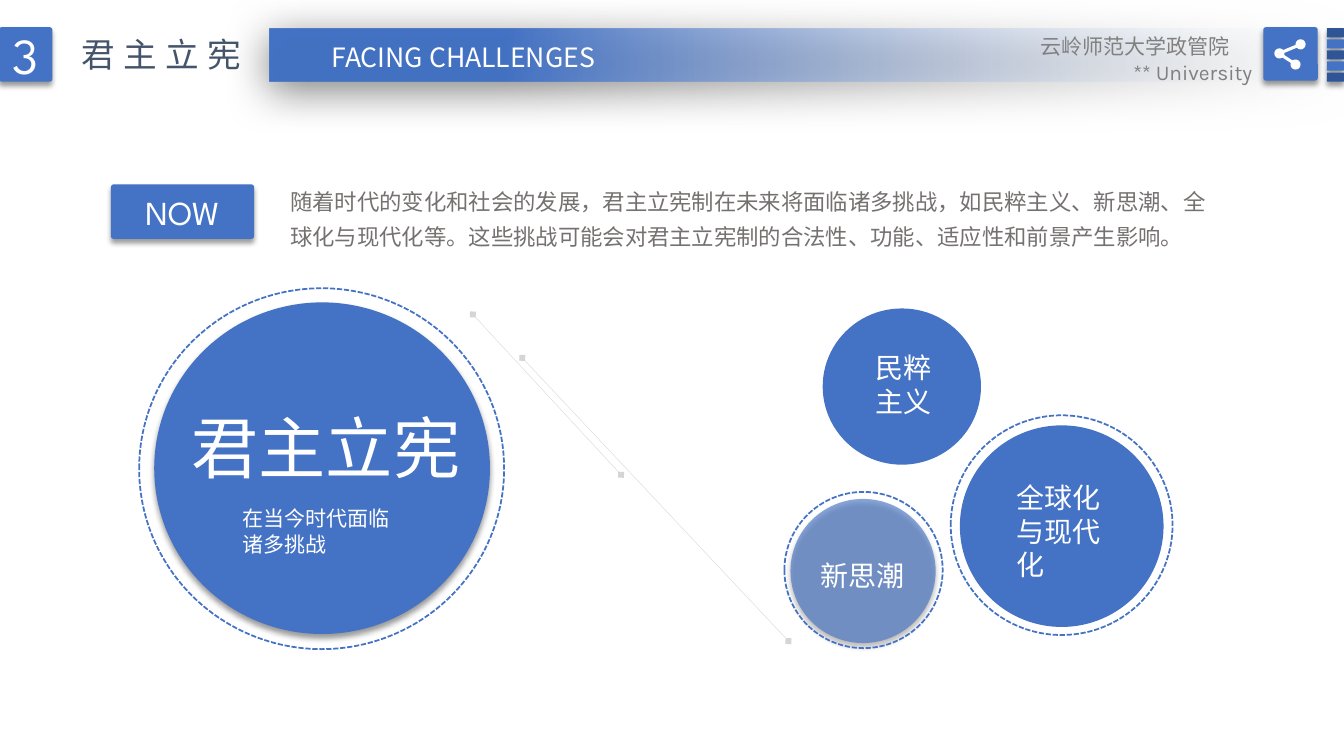
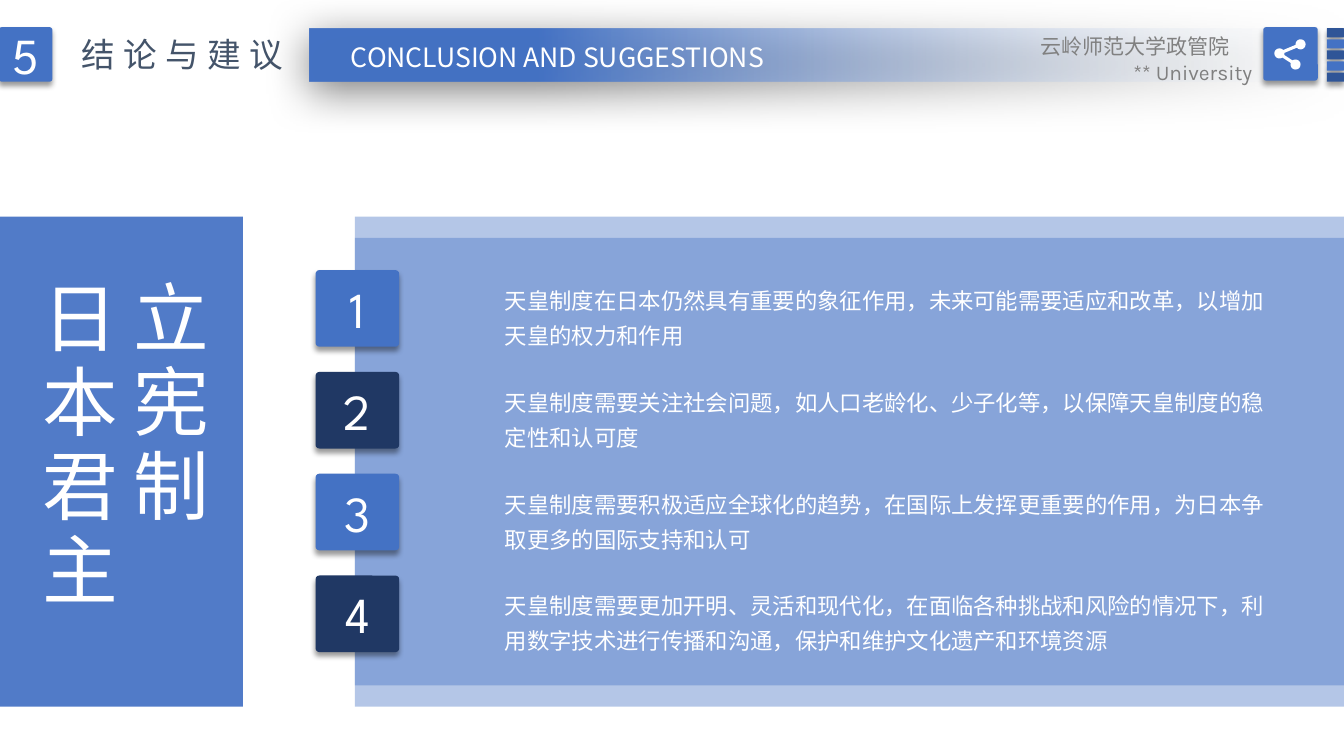
from dataclasses import dataclass
from math import cos, radians, sin

from lxml import etree
from pptx import Presentation
from pptx import util as u
from pptx.dml import color as dml
from pptx.enum import dml as line_kind, shapes, text
from pptx.oxml import ns

BLUE, DEEP, NAVY = "4472C4", "2F5597", "203864"
WHITE, GRAY, SLATE, TAUPE = "FFFFFF", "808080", "44546A", "767171"
CJK, HEAD = "Noto Sans CJK SC", "League Spartan"
LEFT, MID, RIGHT = text.PP_ALIGN.LEFT, text.PP_ALIGN.CENTER, text.PP_ALIGN.RIGHT
RECT, ROUND, OVAL = (shapes.MSO_SHAPE.RECTANGLE, shapes.MSO_SHAPE.ROUNDED_RECTANGLE,
                     shapes.MSO_SHAPE.OVAL)


@dataclass(frozen=True)
class Box:
    left: float
    top: float
    width: float
    height: float

    def emu(self) -> list:
        return [u.Inches(v) for v in (self.left, self.top, self.width, self.height)]


@dataclass(frozen=True)
class Style:
    size: float
    color: str = WHITE
    font: str = CJK
    align: object = LEFT
    space: float = 0
    lead: float = 0


@dataclass(frozen=True)
class Shade:
    alpha: int = 40
    blur: int = 4
    dist: int = 3
    angle: int = 90


@dataclass(frozen=True)
class Header:
    number: str
    title: str
    wide: float
    band: float
    label: str
    place: Box


@dataclass(frozen=True)
class Disc:
    box: Box
    alpha: int = 100
    shade: object = None


@dataclass(frozen=True)
class Label:
    words: str
    box: Box
    style: Style


SOFT = Shade()
DIGIT = Style(36, font=HEAD, align=MID)
BODY = Style(16, lead=1.3)


def rgb(code: str) -> dml.RGBColor:
    return dml.RGBColor.from_string(code)


def add(parent, tag: str, **attrs):
    node = etree.SubElement(parent, ns.qn(tag))
    for key, value in attrs.items():
        node.set(key, str(value))
    return node


def fade(node, alpha: int) -> None:
    add(node.xpath(".//a:srgbClr")[0], "a:alpha", val=alpha * 1000)


def cast(shape, shade: Shade) -> None:
    effect = shape._element.spPr.find(ns.qn("a:effectLst"))
    drop = add(effect, "a:outerShdw", blurRad=shade.blur * 12700,
               dist=shade.dist * 12700, dir=shade.angle * 60000,
               algn="ctr", rotWithShape=0)
    add(add(drop, "a:srgbClr", val="000000"), "a:alpha", val=shade.alpha * 1000)


def write(shape, words: str, style: Style, wrap: bool = True,
          anchor=text.MSO_ANCHOR.TOP) -> None:
    frame = shape.text_frame
    frame.text = words
    frame.word_wrap = wrap
    frame.auto_size = text.MSO_AUTO_SIZE.NONE
    frame.vertical_anchor = anchor
    frame.margin_left = frame.margin_right = u.Inches(0.1)
    frame.margin_top = frame.margin_bottom = u.Inches(0.05)
    for para in frame.paragraphs:
        para.alignment = style.align
        if style.lead:
            para.line_spacing = style.lead
        font = para.font
        font.size = u.Pt(style.size)
        font.color.rgb = rgb(style.color)
        font.name = style.font
        add(font._element, "a:ea", typeface=style.font)
        if style.space:
            font._element.set("spc", str(int(style.space * 100)))


def note(slide, words: str, box: Box, style: Style, wrap: bool = True):
    shape = slide.shapes.add_textbox(*box.emu())
    write(shape, words, style, wrap)
    return shape


def form(slide, kind, box: Box, fill: str = BLUE, alpha: int = 100, shade=None):
    shape = slide.shapes.add_shape(kind, *box.emu())
    shape.shadow.inherit = False
    shape.line.fill.background()
    shape.fill.solid()
    shape.fill.fore_color.rgb = rgb(fill)
    if alpha < 100:
        fade(shape._element.spPr, alpha)
    if shade:
        cast(shape, shade)
    return shape


def tile(slide, box: Box, fill: str = BLUE, words: str = "", style: Style = DIGIT) -> None:
    shape = form(slide, ROUND, box, fill, shade=SOFT)
    shape.adjustments[0] = 0.05
    if words:
        write(shape, words, style, anchor=text.MSO_ANCHOR.MIDDLE)


def ring(slide, box: Box) -> None:
    shape = form(slide, OVAL, box)
    shape.fill.background()
    shape.line.color.rgb = rgb(BLUE)
    shape.line.width = u.Pt(1.25)
    shape.line.dash_style = line_kind.MSO_LINE.SQUARE_DOT


def link(slide, x1: float, y1: float, x2: float, y2: float) -> None:
    line = slide.shapes.add_connector(shapes.MSO_CONNECTOR.STRAIGHT,
                                      *[u.Inches(v) for v in (x1, y1, x2, y2)])
    line.line.width = u.Pt(0.25)
    line.line.color.rgb = rgb(GRAY)
    props = line._element.spPr
    fade(props, 33)
    stroke = props.find(ns.qn("a:ln"))
    add(stroke, "a:headEnd", type="diamond")
    add(stroke, "a:tailEnd", type="diamond")
    add(props, "a:effectLst")


def share(slide) -> None:
    high, west, low = (12.9, 0.44), (12.69, 0.53), (12.85, 0.64)
    gap, size, steps = 18, 0.05, 16
    arcs = [(high, 156 + gap, 516 - gap), (west, gap - 24, 36 - gap),
            (low, 216 + gap, 576 - gap), (west, 36 + gap, 336 - gap)]
    dots = []
    for (x, y), start, end in arcs:
        for step in range(steps + 1):
            turn = radians(start + (end - start) * step / steps)
            dots.append((u.Inches(x + size * cos(turn)), u.Inches(y + size * sin(turn))))
    path = slide.shapes.build_freeform(*dots[0], scale=1.0)
    path.add_line_segments(dots[1:], close=True)
    icon = path.convert_to_shape()
    icon.shadow.inherit = False
    icon.fill.solid()
    icon.fill.fore_color.rgb = rgb(WHITE)
    icon.line.fill.background()


def start(deck, head: Header):
    slide = deck.slides.add_slide(deck.slide_layouts[5])
    title = slide.shapes.title
    title.left, title.top, title.width, title.height = Box(0.71, 0.29, head.wide, 0.5).emu()
    write(title, head.title, Style(24, SLATE, space=6), wrap=False)

    band = form(slide, RECT, Box(head.band, 0.28, 13.33 - head.band, 0.53),
                shade=Shade(50, 31, 6, 97))
    band.fill.gradient()
    band.fill.gradient_angle = 180
    for stop, (spot, tone) in zip(band.fill.gradient_stops, [(0, "F7FAFD"), (0.78, BLUE)]):
        stop.position = spot
        stop.color.rgb = rgb(tone)
    fade(band._element.spPr, 0)

    tile(slide, Box(-0.01, 0.27, 0.53, 0.54), words=head.number)
    note(slide, head.label, head.place, Style(19, align=MID), wrap=False)
    for row in range(5):
        tile(slide, Box(13.16, 0.28 + 0.11 * row, 0.17, 0.09), (DEEP, BLUE)[row % 2])
    tile(slide, Box(12.53, 0.27, 0.54, 0.53))
    share(slide)
    note(slide, "云岭师范大学政管院", Box(10.15, 0.28, 2.14, 0.35), Style(15, GRAY, align=RIGHT))
    note(slide, "** University", Box(10.15, 0.54, 2.37, 0.34),
         Style(15, GRAY, "Karla", RIGHT))
    return slide


def facing(deck) -> None:
    slide = start(deck, Header("3", "君主立宪", 1.87, 2.67, "FACING CHALLENGES",
                               Box(3.13, 0.36, 2.93, 0.42)))
    discs = [Disc(Box(1.53, 3, 3.33, 3.29), shade=SOFT), Disc(Box(8.24, 3.13, 1.44, 1.43)),
             Disc(Box(8.16, 3.06, 1.57, 1.55)), Disc(Box(7.84, 4.95, 1.44, 1.43), 63, SOFT),
             Disc(Box(9.52, 4.22, 2.02, 2))]
    for disc in discs:
        form(slide, OVAL, disc.box, alpha=disc.alpha, shade=disc.shade)
    for box in (Box(1.38, 2.86, 3.62, 3.58), Box(7.78, 4.88, 1.57, 1.55),
                Box(9.43, 4.12, 2.2, 2.18)):
        ring(slide, box)
    tile(slide, Box(1.1, 1.83, 1.42, 0.54), words="NOW", style=Style(24, font=HEAD, align=MID))
    link(slide, 5.18, 3.55, 7.82, 6.36)
    link(slide, 4.69, 3.12, 6.16, 4.71)
    topic = Style(20)
    labels = [
        Label("随着时代的变化和社会的发展，君主立宪制在未来将面临诸多挑战，如民粹主义、新思潮、"
              "全球化与现代化等。这些挑战可能会对君主立宪制的合法性、功能、适应性和前景产生影响。",
              Box(2.78, 1.74, 9.49, 0.8), Style(16, TAUPE, lead=1.3)),
        Label("君主立宪", Box(1.8, 3.98, 2.89, 0.91), Style(48, font="Calibri")),
        Label("在当今时代面临诸多挑战", Box(2.31, 4.97, 1.77, 0.6), Style(15)),
        Label("民粹\n主义", Box(8.58, 3.43, 1.11, 0.77), topic),
        Label("新思潮", Box(8.04, 5.49, 1.11, 0.43), topic),
        Label("全球化与现代化", Box(9.98, 4.72, 1.11, 1.11), topic)]
    for label in labels:
        note(slide, label.words, label.box, label.style)


def closing(deck) -> None:
    slide = start(deck, Header("5", "结论与建议", 2.22, 3.07, "CONCLUSION AND SUGGESTIONS",
                               Box(3.22, 0.36, 4.62, 0.42)))
    for top in (2.36, 2.15):
        form(slide, RECT, Box(3.52, top, 9.81, 4.65), alpha=40)
    points = [
        "天皇制度在日本仍然具有重要的象征作用，未来可能需要适应和改革，以增加天皇的权力和作用",
        "天皇制度需要关注社会问题，如人口老龄化、少子化等，以保障天皇制度的稳定性和认可度",
        "天皇制度需要积极适应全球化的趋势，在国际上发挥更重要的作用，为日本争取更多的国际支持和认可",
        "天皇制度需要更加开明、灵活和现代化，在面临各种挑战和风险的情况下，"
        "利用数字技术进行传播和沟通，保护和维护文化遗产和环境资源"]
    for row, words in enumerate(points):
        top = 2.68 + 1.01 * row
        tile(slide, Box(3.13, top, 0.83, 0.76), (BLUE, NAVY)[row % 2], str(row + 1))
        note(slide, words, Box(4.91, top + 0.04, 7.8, 0.8), BODY)
    form(slide, RECT, Box(-0.01, 2.15, 2.42, 4.86), alpha=93)
    side = note(slide, "立宪制\n日本君主", Box(-0.75, 2.68, 2.92, 3.43),
                Style(54, space=6), wrap=False)
    side.text_frame._txBody.bodyPr.set("vert", "eaVert")


def main() -> None:
    deck = Presentation()
    deck.slide_width, deck.slide_height = u.Inches(13.33), u.Inches(7.5)
    facing(deck)
    closing(deck)
    deck.save("out.pptx")


main()
